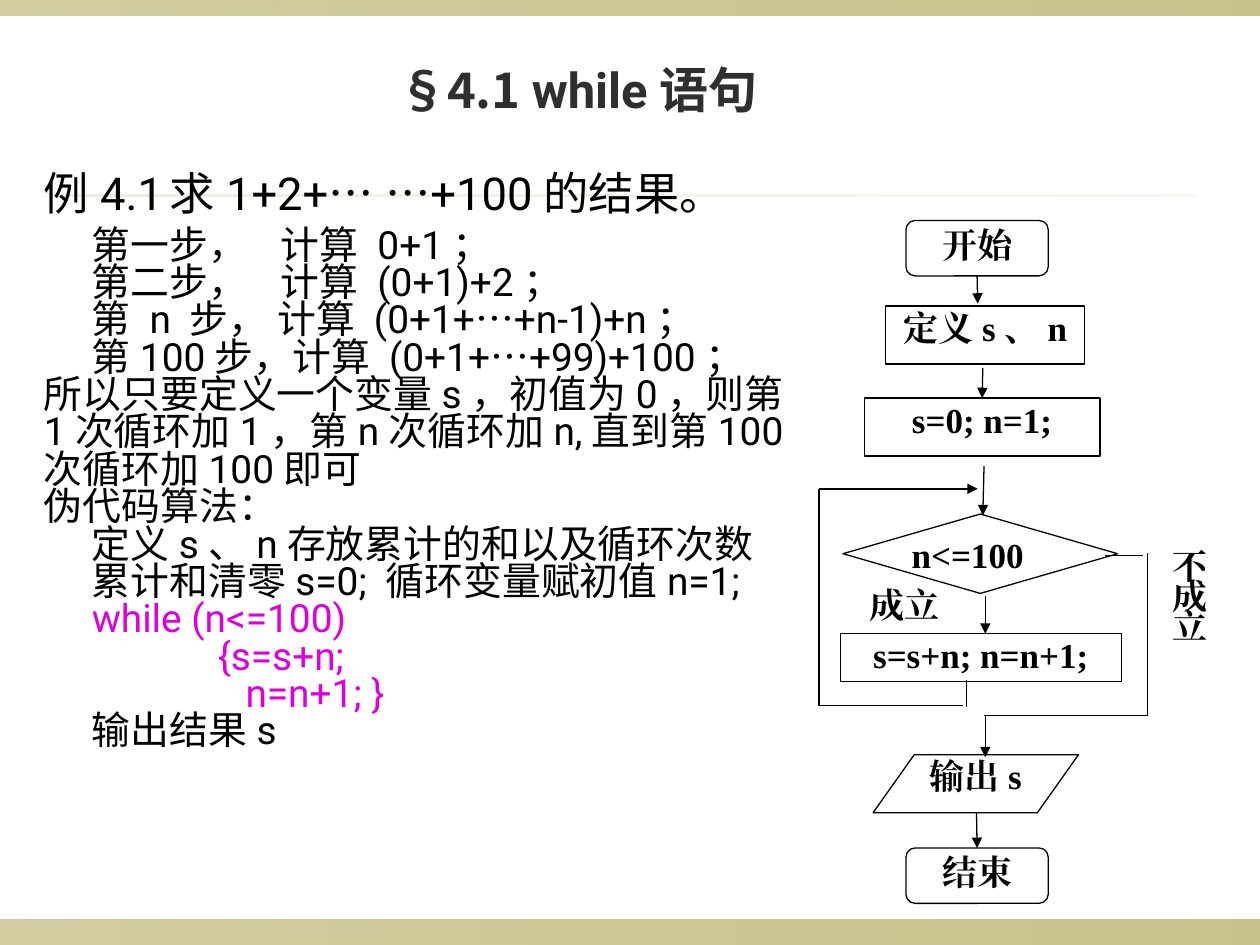
import itertools

import lxml.etree
import pptx
import pptx.dml.color
import pptx.enum.shapes
import pptx.enum.text
import pptx.oxml.ns
import pptx.util

Inches = pptx.util.Inches
Pt = pptx.util.Pt
SHAPE = pptx.enum.shapes.MSO_SHAPE
ALIGN = pptx.enum.text.PP_ALIGN
ANCHOR = pptx.enum.text.MSO_ANCHOR
qn = pptx.oxml.ns.qn

COLORS = {"ink": "000000", "title": "2F2F2F", "code": "DD00DD",
          "paper": "FFFFFF", "olive": "918415", "rule": "DCD9CC"}
SANS, CJK, SERIF = "Roboto", "Noto Sans CJK SC", "Times New Roman"
FLOW = {"size": Pt(20), "name": SERIF, "bold": True}


def rgb(name):
    return pptx.dml.color.RGBColor.from_string(COLORS[name])


def add_xml(parent, tag, **attrs):
    return lxml.etree.SubElement(parent, qn(tag), attrs)


class SlideBuilder:
    def __init__(self, prs):
        self.s = prs.slides.add_slide(prs.slide_layouts[6])

    def run(self, p, text, fmt, color="ink"):
        r = p.add_run()
        r.text = text
        for key, value in fmt.items():
            setattr(r.font, key, value)
        r.font.color.rgb = rgb(color)
        add_xml(r.font._element, "a:ea", typeface=fmt["name"])

    def frame(self, sp, insets=(0, 0), anchor=ANCHOR.TOP):
        tf = sp.text_frame
        x, y = map(Inches, insets)
        values = {"margin_left": x, "margin_right": x, "margin_top": y,
                  "margin_bottom": y, "word_wrap": True, "vertical_anchor": anchor}
        for key, value in values.items():
            setattr(tf, key, value)
        return tf

    def text_box(self, box, **frame):
        return self.frame(self.s.shapes.add_textbox(*map(Inches, box)), **frame)

    def label(self, box, text, align, spacing=None):
        p = self.text_box(box).paragraphs[0]
        p.alignment, p.line_spacing = align, spacing
        self.run(p, text, FLOW)

    def band(self, box, color, alphas):
        sp = self.s.shapes.add_shape(SHAPE.RECTANGLE, *map(Inches, box))
        sp.shadow.inherit = False
        sp.line.fill.background()
        sp.fill.gradient()
        sp.fill.gradient_angle = 0
        for stop, alpha in zip(sp.fill.gradient_stops, alphas):
            stop.color.rgb = rgb(color)
        for node, alpha in zip(sp._element.iter(qn("a:srgbClr")), alphas):
            add_xml(node, "a:alpha", val=str(alpha * 1000))

    def node(self, kind, box, text, align=ALIGN.CENTER):
        sp = self.s.shapes.add_shape(kind, *map(Inches, box))
        sp.shadow.inherit = False
        sp.fill.solid()
        sp.fill.fore_color.rgb = rgb("paper")
        sp.line.color.rgb = rgb("ink")
        sp.line.width = Pt(0.75)
        p = self.frame(sp).paragraphs[0]
        p.alignment = align
        self.run(p, text, FLOW)
        return sp

    def line(self, start, end, arrow=False, begin=None, finish=None):
        sp = self.s.shapes.add_connector(pptx.enum.shapes.MSO_CONNECTOR.STRAIGHT,
                                         *map(Inches, start + end))
        sp.line.color.rgb = rgb("ink")
        sp.line.width = Pt(0.75)
        if arrow:
            add_xml(sp.line._get_or_add_ln(), "a:tailEnd", type="triangle")
        add_xml(sp._element.spPr, "a:effectLst")
        if begin:
            sp.begin_connect(*begin)
        if finish:
            sp.end_connect(*finish)

    def body(self, box, rows):
        tf = self.text_box(box, insets=(0.1, 0.05))
        for i, (text, margin, color, tab) in enumerate(rows):
            p = tf.paragraphs[0] if i == 0 else tf.add_paragraph()
            pPr = p._p.get_or_add_pPr()
            pPr.set("marL", str(Inches(margin)))
            pPr.set("indent", "0")
            p.line_spacing = Pt(25.9 if i == 0 else 21.35)
            p.space_before = Pt(6 if i == 1 else 0)
            if tab:
                tabs = add_xml(pPr, "a:tabLst")
                add_xml(tabs, "a:tab", pos=str(Inches(tab)), algn="l")
            size = Pt(25.9 if i == 0 else 22.2)
            # Ellipses use the CJK font so that the dots sit mid-line
            for dots, chars in itertools.groupby(text, lambda c: c == "…"):
                self.run(p, "".join(chars), {"size": size, "name": CJK if dots else SANS}, color)


def main():
    prs = pptx.Presentation()
    prs.slide_width, prs.slide_height = Inches(10), Inches(7.5)
    b = SlideBuilder(prs)

    # Decorative bands and title rule
    b.band((0, 7.3, 10, 0.2), "olive", (40, 50))
    b.band((0, 0, 10, 0.12), "olive", (40, 50))
    b.band((0.5, 1.54, 9, 0.02), "rule", (50, 20))

    # Title
    p = b.text_box((0.75, 0.08, 7.67, 1.25), insets=(0.1, 0.05),
                   anchor=ANCHOR.MIDDLE).paragraphs[0]
    p.alignment = ALIGN.CENTER
    for text, name in (("§4.1 ", CJK), ("while语句", SANS)):
        b.run(p, text, {"size": Pt(28), "name": name, "bold": True}, "title")

    # Worked example: text, left margin, colour, tab stop
    b.body((0.25, 1.33, 6.25, 5.92), [
        ("例4.1\t求1+2+… …+100的结果。", 0, "ink", 1.3),
        ("第一步，\t计算 0+1；", 0.38, "ink", 1.37),
        ("第二步，\t计算 (0+1)+2；", 0.38, "ink", 1.37),
        ("第 n 步， 计算 (0+1+…+n-1)+n；", 0.38, "ink", None),
        ("第100步，计算 (0+1+…+99)+100；", 0.38, "ink", None),
        ("所以只要定义一个变量s，初值为0，则第", 0, "ink", None),
        ("1次循环加1，第n次循环加n,直到第100", 0, "ink", None),
        ("次循环加100即可", 0, "ink", None),
        ("伪代码算法：", 0, "ink", None),
        ("定义s、n存放累计的和以及循环次数", 0.38, "ink", None),
        ("累计和清零s=0; 循环变量赋初值n=1;", 0.38, "ink", None),
        ("while (n<=100)", 0.38, "code", None),
        ("{s=s+n;", 1.38, "code", None),
        ("n=n+1; }", 1.6, "code", None),
        ("输出结果s", 0.38, "ink", None),
    ])

    # Flowchart nodes
    b.node(SHAPE.DIAMOND, (6.69, 4.08, 2.18, 0.63), "n<=100", ALIGN.JUSTIFY)
    step = b.node(SHAPE.RECTANGLE, (6.67, 5.03, 2.23, 0.38), "s=s+n; n=n+1;")
    init = b.node(SHAPE.RECTANGLE, (6.86, 3.16, 1.87, 0.46), "s=0; n=1;")
    b.node(SHAPE.RECTANGLE, (7.03, 2.43, 1.58, 0.46), "定义s、n")
    start, stop = [b.node(SHAPE.FLOWCHART_ALTERNATE_PROCESS, (7.19, y, 1.13, 0.44), text)
                   for y, text in ((1.75, "开始"), (6.73, "结束"))]
    b.node(SHAPE.FLOWCHART_DATA, (6.93, 5.99, 1.63, 0.46), "输出s")

    # Downward arrows
    b.line((7.76, 2.19), (7.76, 2.41), True, begin=(start, 2))
    b.line((7.8, 2.92), (7.8, 3.16), True, finish=(init, 0))
    b.line((7.81, 3.7), (7.8, 4.09), True)
    b.line((7.82, 4.73), (7.82, 5.03), True)
    b.line((7.82, 5.68), (7.82, 6.01), True)
    b.line((7.75, 6.45), (7.75, 6.73), True, finish=(stop, 0))

    # Loop back to the condition
    b.line((7.67, 5.4), (7.67, 5.61))
    b.line((7.64, 5.6), (6.5, 5.6))
    b.line((6.5, 5.6), (6.5, 3.88))
    b.line((6.5, 3.88), (7.76, 3.88), True)

    # Exit branch
    b.line((8.77, 4.41), (9.07, 4.41))
    b.line((9.11, 4.39), (9.11, 5.68))
    b.line((7.81, 5.68), (9.11, 5.68))

    # Branch labels
    b.label((6.9, 4.63, 0.83, 0.46), "成立", ALIGN.JUSTIFY)
    b.label((9.17, 4.42, 0.55, 1.26), "不成立", ALIGN.CENTER, Pt(17.1))

    prs.save("out.pptx")


if __name__ == "__main__":
    main()
